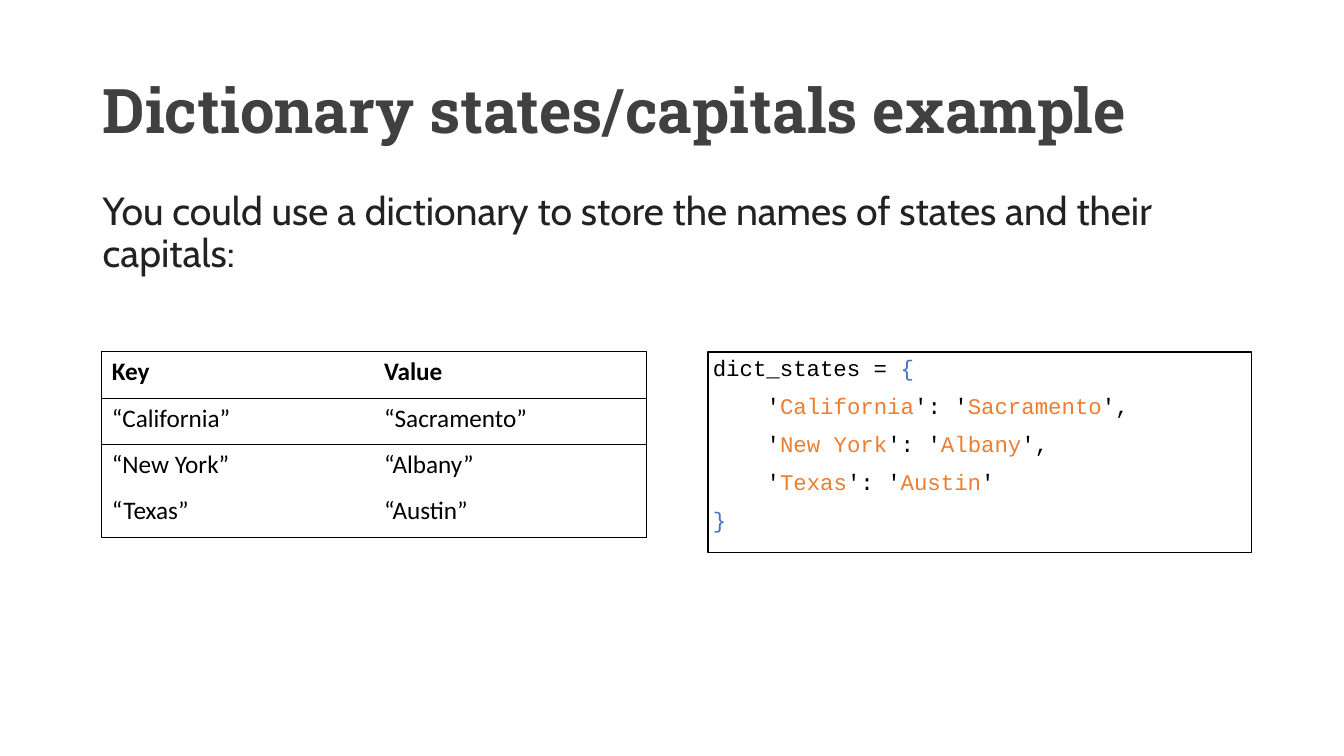
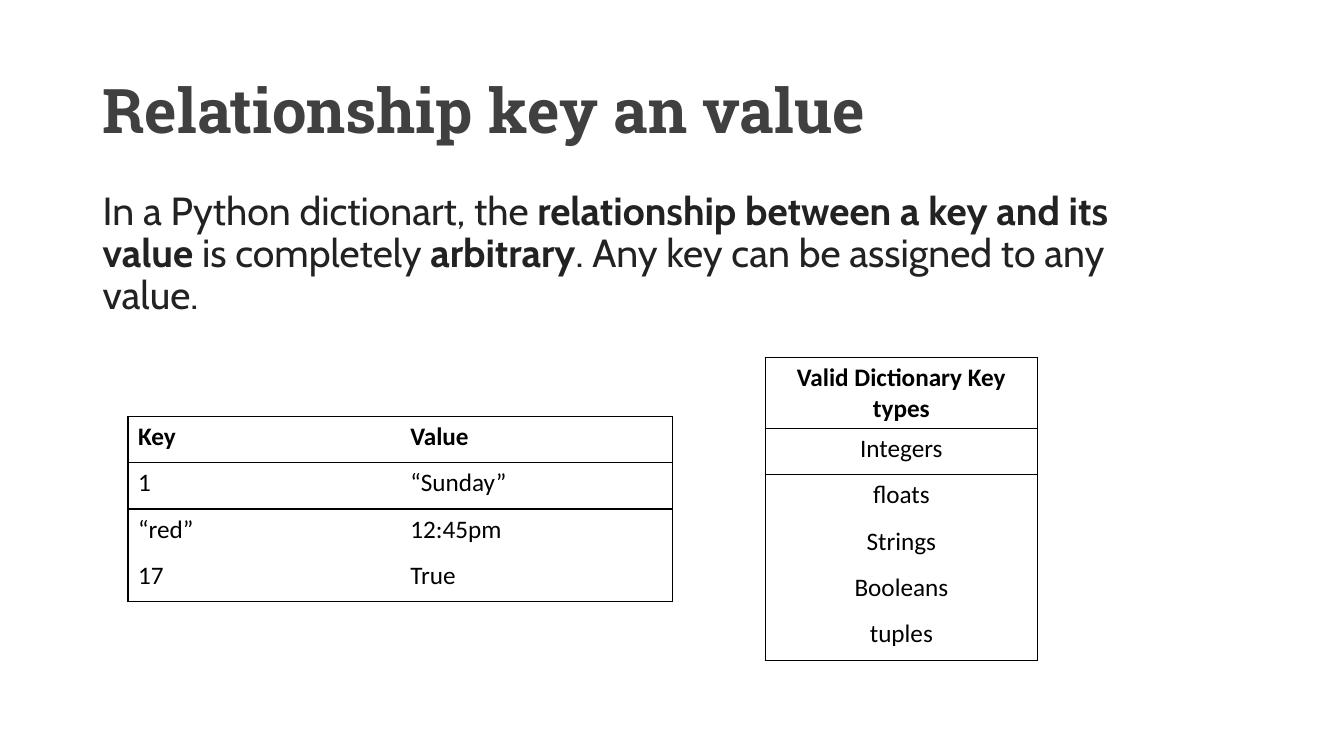
import pptx
import pptx.dml.color
import pptx.enum.shapes
import pptx.enum.text
import pptx.oxml.ns
import pptx.util
from lxml import etree

Inches = pptx.util.Inches
Pt = pptx.util.Pt

BLACK, TITLE_GREY, BODY_GREY = "000000", "404040", "222222"
BRACE_BLUE, STRING_ORANGE = "4472C4", "ED7D31"
TITLE_FONT, BODY_FONT = "Roboto Slab", "Cabin"
TABLE_FONT, CODE_FONT = "Calibri", "Courier New"
ROW_HEIGHT, COLUMN_WIDTH = 0.46, 2.7


def color(value):
    return pptx.dml.color.RGBColor.from_string(value)


def set_font(font, name, size, value, bold=False):
    font.name, font.size, font.bold = name, Pt(size), bold
    font.color.rgb = color(value)


# Text
def add_text(page, left, top, width, height, font, size, value, pieces,
             bold=False, anchor=pptx.enum.text.MSO_ANCHOR.TOP):
    """Add one paragraph made of (text, bold) pieces."""
    box = page.shapes.add_textbox(*map(Inches, (left, top, width, height)))
    frame = box.text_frame
    frame.word_wrap = True
    frame.vertical_anchor = anchor
    para = frame.paragraphs[0]
    para.line_spacing = 0.9
    set_font(para.font, font, size, value, bold)
    for text, strong in pieces:
        span = para.add_run()
        span.text = text
        if strong:
            span.font.bold = True


def add_page(deck, title, body):
    """Add a page with the shared title and body text."""
    page = deck.slides.add_slide(deck.slide_layouts[6])
    add_text(page, 0.92, 0.4, 11.5, 1.45, TITLE_FONT, 44, TITLE_GREY,
             [(title, False)], bold=True,
             anchor=pptx.enum.text.MSO_ANCHOR.MIDDLE)
    add_text(page, 0.92, 1.85, 10.88, 5.5, BODY_FONT, 28, BODY_GREY, body)
    return page


# Tables
def set_borders(cell, **sides):
    """Draw or clear the sides L, R, T and B of a cell."""
    properties = cell._tc.get_or_add_tcPr()
    for index, (side, shown) in enumerate(sides.items()):
        line = etree.Element(pptx.oxml.ns.qn("a:ln" + side), w=str(Pt(1)))
        if shown:
            fill = etree.SubElement(line, pptx.oxml.ns.qn("a:solidFill"))
            etree.SubElement(fill, pptx.oxml.ns.qn("a:srgbClr"), val=BLACK)
        else:
            etree.SubElement(line, pptx.oxml.ns.qn("a:noFill"))
        properties.insert(index, line)


def add_table(page, left, top, rows, align=pptx.enum.text.PP_ALIGN.LEFT):
    """Add a framed table with rules under its first two rows."""
    row_count, column_count = len(rows), len(rows[0])
    table = page.shapes.add_table(
        row_count, column_count, Inches(left), Inches(top),
        Inches(COLUMN_WIDTH * column_count),
        Inches(ROW_HEIGHT * row_count)).table
    table.horz_banding = False
    ruled_edges = {0, 1, 2, row_count}
    for r, row in enumerate(rows):
        for c, text in enumerate(row):
            cell = table.cell(r, c)
            cell.text = text
            cell.fill.background()
            para = cell.text_frame.paragraphs[0]
            para.alignment = align
            set_font(para.font, TABLE_FONT, 18, BLACK, bold=r == 0)
            set_borders(cell, L=c == 0, R=c == column_count - 1,
                        T=r in ruled_edges, B=r + 1 in ruled_edges)


# Code
def entry_line(key, value, ending):
    return [("'", BLACK), (key, STRING_ORANGE), ("': '", BLACK),
            (value, STRING_ORANGE), ("'" + ending, BLACK)]


def add_dictionary_code(page, left, top, width, height, name, entries):
    box = page.shapes.add_shape(pptx.enum.shapes.MSO_SHAPE.RECTANGLE,
                                *map(Inches, (left, top, width, height)))
    box.shadow.inherit = False
    box.fill.background()
    box.line.color.rgb = color(BLACK)
    box.line.width = Pt(1)
    frame = box.text_frame
    frame.word_wrap = True
    frame.vertical_anchor = pptx.enum.text.MSO_ANCHOR.TOP
    frame.margin_left = frame.margin_right = Inches(0.05)
    frame.margin_top = frame.margin_bottom = Inches(0.05)

    last = len(entries) - 1
    lines = [[(name + " = ", BLACK), ("{", BRACE_BLUE)]]
    lines += [entry_line(key, value, "," if i < last else "")
              for i, (key, value) in enumerate(entries)]
    lines.append([("}", BRACE_BLUE)])
    for i, line in enumerate(lines):
        para = frame.add_paragraph() if i else frame.paragraphs[0]
        para.alignment = pptx.enum.text.PP_ALIGN.LEFT
        para.line_spacing = 0.9
        para.space_before = Pt(10 if i else 0)
        set_font(para.font, CODE_FONT, 16, BLACK)
        if 0 < i < len(lines) - 1:
            # Indent by four characters
            para._p.get_or_add_pPr().set("marL", str(Pt(38.4)))
        for text, value in line:
            span = para.add_run()
            span.text = text
            span.font.color.rgb = color(value)


# Pages
def add_states_page(deck):
    page = add_page(deck, "Dictionary states/capitals example", [
        ("You could use a dictionary to store the names of states and their "
         "capitals:", False)])
    capitals = [("California", "Sacramento"), ("New York", "Albany"),
                ("Texas", "Austin")]
    add_dictionary_code(page, 7.02, 3.49, 5.39, 1.99, "dict_states", capitals)
    quoted = [(f"“{state}”", f"“{capital}”") for state, capital in capitals]
    add_table(page, 1.01, 3.49, [("Key", "Value")] + quoted)


def add_relationship_page(deck):
    page = add_page(deck, "Relationship key an value", [
        ("In a Python dictionart, the ", False),
        ("relationship between a key and its value ", True),
        ("is completely ", False),
        ("arbitrary", True),
        (". Any key can be assigned to any value.", False)])
    add_table(page, 1.27, 4.13, [("Key", "Value"), ("1", "“Sunday”"),
                                 ("“red”", "12:45pm"), ("17", "True")])
    key_types = ["Valid Dictionary Key types", "Integers", "floats",
                 "Strings", "Booleans", "tuples"]
    add_table(page, 7.59, 3.55, [(text,) for text in key_types],
              align=pptx.enum.text.PP_ALIGN.CENTER)


def main():
    deck = pptx.Presentation()
    deck.slide_width, deck.slide_height = Inches(13.33), Inches(7.5)
    add_states_page(deck)
    add_relationship_page(deck)
    deck.save("out.pptx")


if __name__ == "__main__":
    main()
